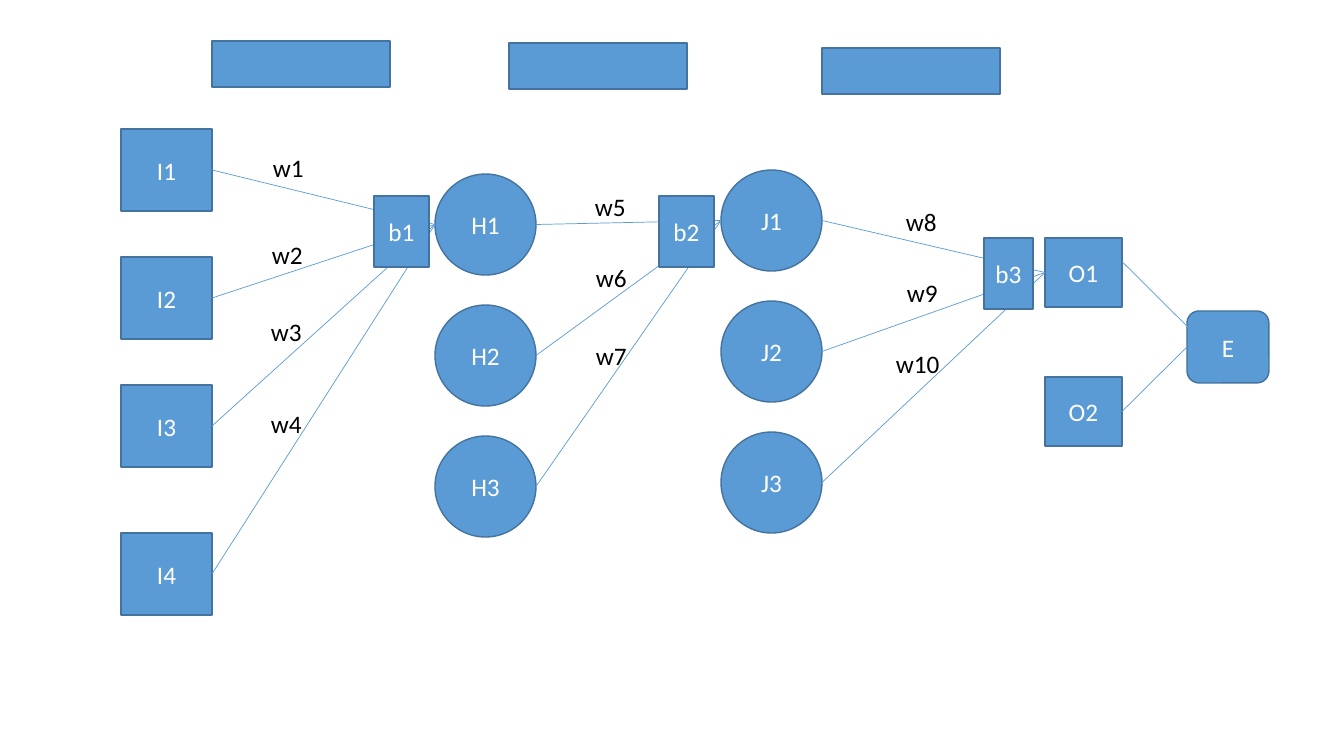
from dataclasses import dataclass

from lxml.etree import SubElement
from pptx import Presentation
from pptx.dml.color import RGBColor
from pptx.enum.shapes import MSO_CONNECTOR, MSO_SHAPE
from pptx.enum.text import MSO_ANCHOR, MSO_AUTO_SIZE, PP_ALIGN
from pptx.oxml.ns import qn
from pptx.util import Pt

EMU_PER_PIXEL = 914400 / 100.8


@dataclass(frozen=True)
class Theme:
    """Colours, type and line widths of the slide."""
    fill: RGBColor = RGBColor(0x5B, 0x9B, 0xD5)
    outline: RGBColor = RGBColor(0x43, 0x73, 0x9E)
    on_fill: RGBColor = RGBColor(0xFF, 0xFF, 0xFF)
    ink: RGBColor = RGBColor(0, 0, 0)
    font: str = "Calibri"
    size: Pt = Pt(18)
    border: Pt = Pt(1)
    link: Pt = Pt(0.5)


THEME = Theme()


def px(*lengths):
    """Turn pixel lengths into EMU."""
    return [round(length * EMU_PER_PIXEL) for length in lengths]


def write(frame, label, color):
    """Put a one-line label into a text frame."""
    line = frame.paragraphs[0]
    line.text = label
    line.font.name, line.font.size = THEME.font, THEME.size
    line.font.color.rgb = color
    return line


def add_node(slide, kind, box, label=""):
    """Draw a filled node with an optional centred label."""
    node = slide.shapes.add_shape(kind, *px(*box))
    node.shadow.inherit = False
    node.fill.solid()
    node.fill.fore_color.rgb = THEME.fill
    node.line.color.rgb = THEME.outline
    node.line.width = THEME.border
    if label:
        node.text_frame.vertical_anchor = MSO_ANCHOR.MIDDLE
        write(node.text_frame, label, THEME.on_fill).alignment = PP_ALIGN.CENTER


def add_link(slide, start, end):
    """Draw a thin straight link between two points."""
    link = slide.shapes.add_connector(MSO_CONNECTOR.STRAIGHT, *px(*start, *end))
    link.line.color.rgb = THEME.fill
    link.line.width = THEME.link
    SubElement(link._element.spPr, qn("a:effectLst"))


def add_layer(slide, box, kind, prefix, offsets):
    """Stack numbered nodes below the box's corner and return their boxes."""
    left, top, width, height = box
    nodes = [(left, top + offset, width, height) for offset in offsets]
    for number, node in enumerate(nodes, 1):
        add_node(slide, kind, node, f"{prefix}{number}")
    return nodes


def left_middle(box):
    """Return the middle of a box's left edge."""
    left, top, _, height = box
    return left, top + height / 2


def right_middle(box):
    """Return the middle of a box's right edge."""
    left, top, width, height = box
    return left + width, top + height / 2


def add_weights(slide, box, first, offsets):
    """Place numbered weight labels at offsets from the box's corner."""
    left, top, width, height = box
    for number, (right, down) in enumerate(offsets, first):
        extra = 13 if number > 9 else 0
        weight = slide.shapes.add_textbox(
            *px(left + right, top + down, width + extra, height))
        weight.text_frame.word_wrap = False
        weight.text_frame.auto_size = MSO_AUTO_SIZE.SHAPE_TO_FIT_TEXT
        write(weight.text_frame, f"w{number}", THEME.ink)


def add_error(slide, box, outputs):
    """Draw the error node and the links that reach it from the outputs."""
    left, top, _, _ = box
    add_node(slide, MSO_SHAPE.ROUNDED_RECTANGLE, box, "E")
    first_x, first_y = right_middle(outputs[0])
    add_link(slide, (first_x, first_y - 11), (left + 36, top + 51))
    add_link(slide, right_middle(outputs[1]), left_middle(box))


def add_network(slide, box):
    """Draw the whole network inside the box."""
    left, top, _, _ = box

    def at(x, y, width, height):
        return left + x, top + y, width, height

    square, circle = MSO_SHAPE.RECTANGLE, MSO_SHAPE.OVAL
    hidden_steps = [131 * row for row in range(3)]
    outputs = add_layer(slide, at(924, 197, 77, 69), square, "O", [0, 139])
    second = add_layer(slide, at(600, 129, 101, 101), circle, "J", hidden_steps)
    first = add_layer(slide, at(314, 133, 101, 101), circle, "H", hidden_steps)
    inputs = add_layer(slide, at(0, 88, 91, 82), square, "I", [0, 128, 256, 404])

    layers = [inputs, first, second, outputs]
    for sources, targets in zip(layers, layers[1:]):
        for source in sources:
            add_link(slide, right_middle(source), left_middle(targets[0]))

    add_weights(slide, at(142, 106, 51, 40), 1,
                [(0, 0), (-1, 87), (-2, 164), (-2, 256)])
    add_weights(slide, at(464, 145, 51, 40), 5, [(0, 0), (1, 71), (1, 149)])
    add_weights(slide, at(775, 160, 51, 40), 8, [(0, 0), (1, 71), (-10, 142)])

    biases = [at(253, 155, 55, 71), at(538, 155, 55, 71), at(863, 197, 49, 71)]
    for number, bias in enumerate(biases, 1):
        add_node(slide, square, bias, f"b{number}")
    add_error(slide, at(1066, 270, 82, 72), outputs)


def add_banners(slide, box):
    """Draw the three empty banners above the network."""
    left, top, _, height = box
    for right, down in [(0, 0), (297, 2), (610, 7)]:
        add_node(slide, MSO_SHAPE.RECTANGLE,
                 (left + right, top + down, 178, height))


def main():
    """Build and save the slide."""
    deck = Presentation()
    deck.slide_width, deck.slide_height = px(1344, 756)
    slide = deck.slides.add_slide(deck.slide_layouts[6])
    add_network(slide, (121, 41, 1148, 574))
    add_banners(slide, (212, 41, 788, 46))
    deck.save("out.pptx")


main()
